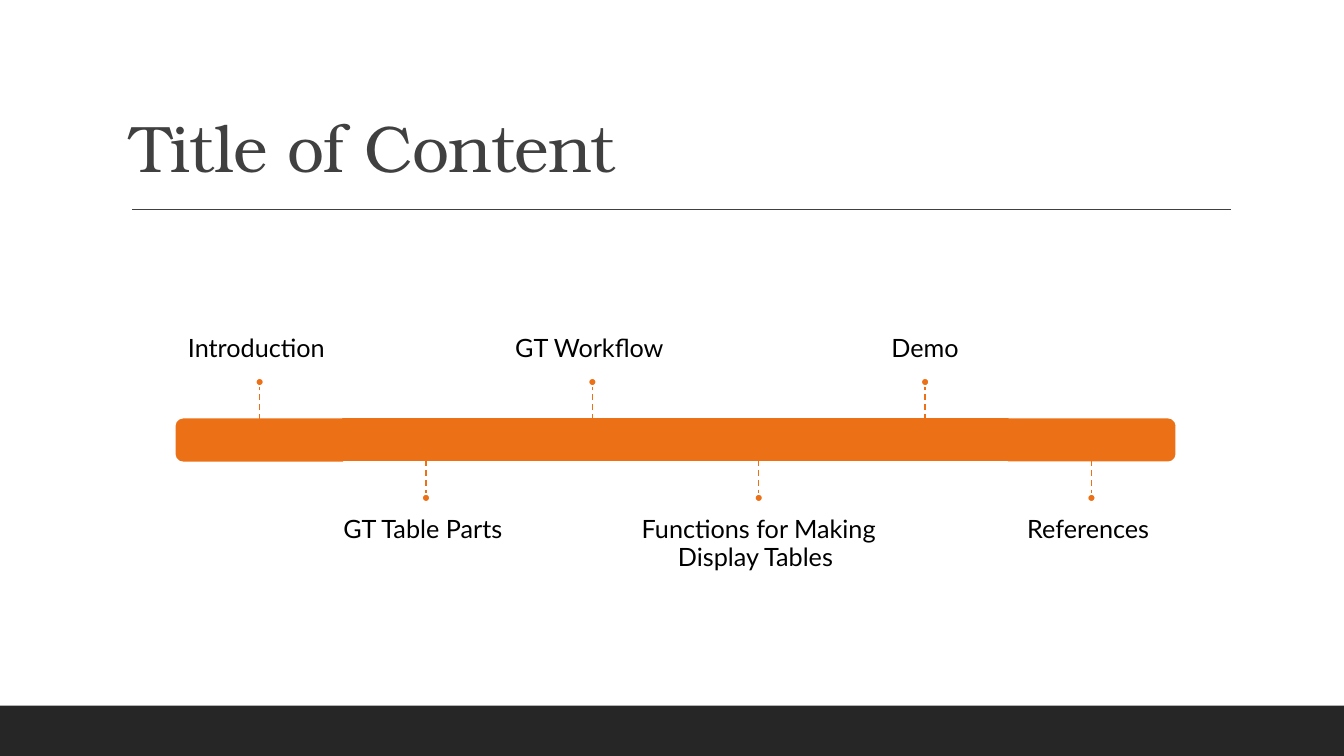
from lxml import etree
from pptx import Presentation, util as u
from pptx.dml.color import RGBColor
from pptx.enum import dml, shapes, text
from pptx.oxml.ns import qn

ORANGE, DARK, GREY = "EC7016", "262626", "404040"
STEPS = [
    "Introduction ",
    "GT Table Parts ",
    "GT Workflow ",
    "Functions for Making Display Tables ",
    "Demo",
    "References ",
]
KIND = shapes.MSO_SHAPE


def color(code):
    """Turn a hex string into a colour."""
    return RGBColor.from_string(code)


def put(obj, values):
    """Set each attribute in a dict of values."""
    for name, value in values.items():
        setattr(obj, name, value)


def shape(slide, kind, box, fill, edge=None, turn=0):
    """Add a filled preset shape."""
    item = slide.shapes.add_shape(kind, *map(u.Inches, box))
    item.shadow.inherit = False
    item.rotation = turn
    item.fill.solid()
    item.fill.fore_color.rgb = color(fill)
    if edge:
        item.line.color.rgb = color(edge)
        item.line.width = u.Pt(1.25)
    else:
        item.line.fill.background()


def line(slide, start, end, tint, dash=None):
    """Add a straight line one point wide."""
    item = slide.shapes.add_connector(
        shapes.MSO_CONNECTOR.STRAIGHT, *map(u.Inches, (*start, *end)))
    item.line.color.rgb = color(tint)
    put(item.line, {"width": u.Pt(1), "dash_style": dash})
    etree.SubElement(item._element.spPr, qn("a:effectLst"))


def label(slide, box, words, face, size, tint, align, anchor, pads):
    """Add a text box with one paragraph and return its run."""
    frame = slide.shapes.add_textbox(*map(u.Inches, box)).text_frame
    put(frame, {"word_wrap": True, "vertical_anchor": anchor})
    sides = ("margin_left", "margin_top", "margin_right", "margin_bottom")
    put(frame, dict(zip(sides, map(u.Inches, pads))))
    para = frame.paragraphs[0]
    put(para, {"alignment": align, "line_spacing": 0.9})
    run = para.add_run()
    run.text = words
    put(run.font, {"name": face, "size": u.Pt(size)})
    run.font.color.rgb = color(tint)
    return run


def header(slide, left, top, wide, high):
    """Place the title and the rule below it."""
    run = label(slide, (left, top, wide, high), "Title of Content",
                "TeX Gyre Bonum", 47, GREY, text.PP_ALIGN.LEFT,
                text.MSO_ANCHOR.BOTTOM, (0.1, 0.05, 0.1, 0.05))
    run.font._element.set("spc", "-50")
    rule = top + high + 0.18
    line(slide, (left + 0.11, rule), (left + wide + 0.01, rule), GREY)


def footer(slide, left, top, wide, high):
    """Place the dark band."""
    shape(slide, KIND.RECTANGLE, (left, top, wide, high), DARK)


def step(slide, left, top, wide, high, words, above):
    """Place the label, stem and dot of one step of the bar."""
    stem, dot, span, tall = 0.33, 0.08, 2.75, 1.45
    mid = left + wide / 2
    if above:
        near, far = top, top - stem
        spot, note = far - dot, far - dot - tall
        anchor, pads = text.MSO_ANCHOR.BOTTOM, (0, 0, 0, 0.15)
    else:
        near, far = top + high, top + high + stem
        spot, note = far, far + dot
        anchor, pads = text.MSO_ANCHOR.TOP, (0, 0.15, 0, 0)
    label(slide, (mid - span / 2, note, span, tall), words, "Lato", 18,
          "000000", text.PP_ALIGN.CENTER, anchor, pads)
    line(slide, (mid, near), (mid, far), ORANGE, dml.MSO_LINE.DASH)
    shape(slide, KIND.OVAL, (mid - dot / 2, spot, dot, dot), ORANGE, "FFFFFF")


def timeline(slide, left, top, wide, high):
    """Place the bar with labels in turn above and below."""
    part = wide / len(STEPS)
    turns = {0: 270, len(STEPS) - 1: 90}
    for i, words in enumerate(STEPS):
        x = left + i * part
        if i in turns:
            box = (x + (part - high) / 2, top + (high - part) / 2, high, part)
            shape(slide, KIND.ROUND_2_SAME_RECTANGLE, box, ORANGE, ORANGE,
                  turns[i])
        else:
            shape(slide, KIND.RECTANGLE, (x, top, part, high), ORANGE, ORANGE)
        step(slide, x, top, part, high, words, i % 2 == 0)


def main():
    """Build the slide and save it."""
    deck = Presentation()
    put(deck, {"slide_width": u.Inches(13.33), "slide_height": u.Inches(7.5)})
    slide = deck.slides.add_slide(deck.slide_layouts[6])
    footer(slide, 0, 7, 13.33, 0.5)
    header(slide, 1.2, 0.31, 11, 1.59)
    timeline(slide, 1.75, 4.16, 9.9, 0.41)
    deck.save("out.pptx")


if __name__ == "__main__":
    main()
